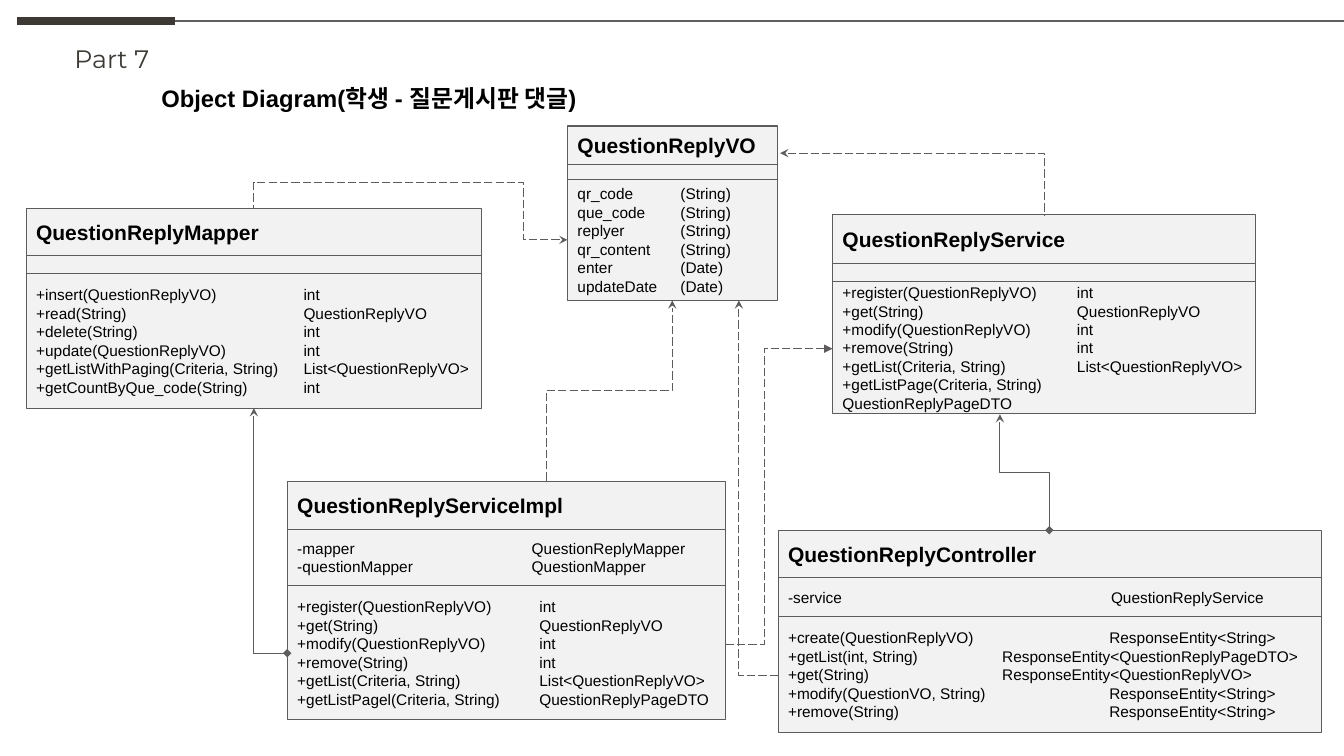
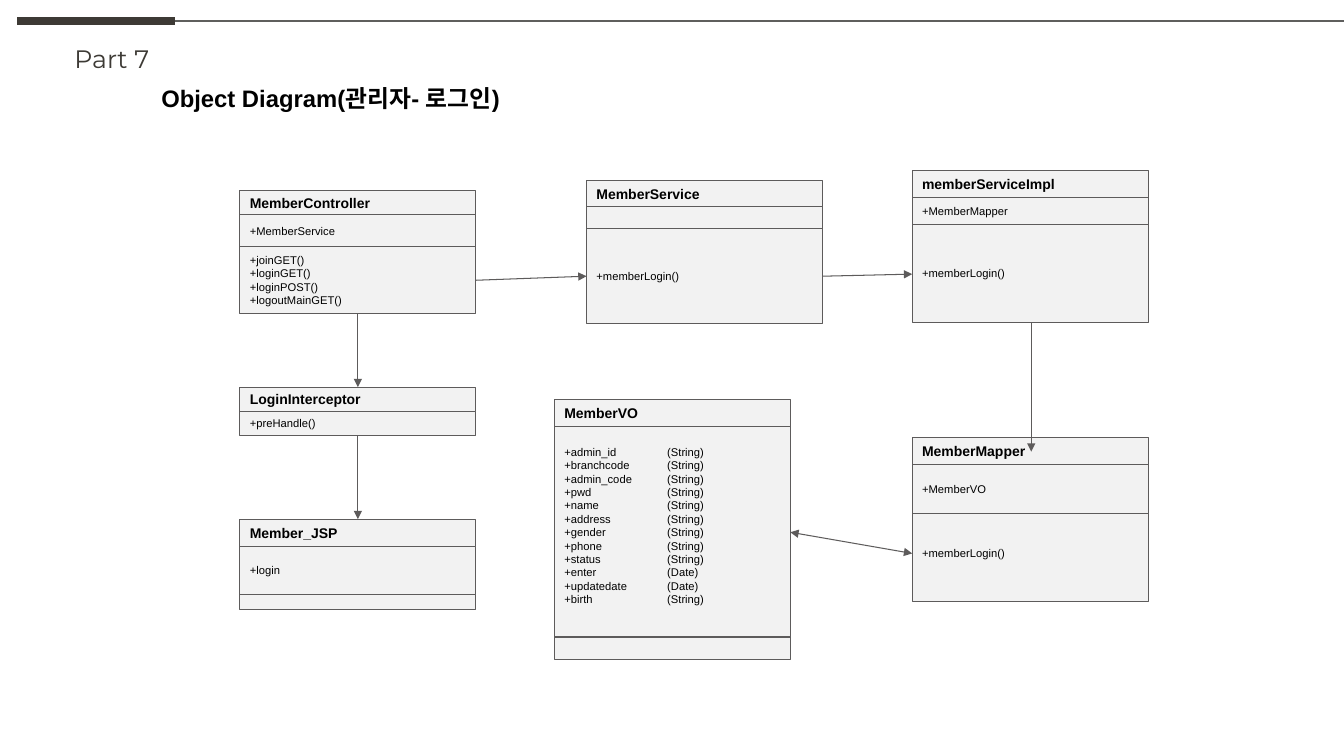
"""Build two object diagram slides: question board replies and administrator login."""
from dataclasses import dataclass
from enum import Enum

from lxml import etree
from pptx import Presentation
from pptx.dml.color import RGBColor
from pptx.enum import dml, shapes, text
from pptx.oxml.ns import qn
from pptx.util import Pt

CHARCOAL = RGBColor(0x3D, 0x3A, 0x35)
RULE_GRAY = RGBColor(0x5F, 0x5F, 0x5D)
OUTLINE = RGBColor(0x5D, 0x5B, 0x5B)
PANEL = RGBColor(0xF2, 0xF2, 0xF2)
BLACK = RGBColor(0, 0, 0)
INSET = 7.2
MEMBER_WIDTH = 168.5
LEFT_COLUMN, RIGHT_COLUMN = 171.4, 651.6
LOGIN_AXIS, MAPPER_AXIS = 255.6, 736.6


class Route(Enum):
    """Shape of a link's path."""
    STRAIGHT = "line"
    CORNER = "bentConnector2"
    STEP = "bentConnector3"
    UPWARD_STEP = "upward"
    DETOUR = "bentConnector4"


@dataclass(frozen=True)
class Section:
    """One compartment of a class, with tab stops for its type column."""
    height: float
    members: tuple[str, ...] = ()
    tabs: tuple[float, ...] = ()
    bottom: float = INSET


@dataclass(frozen=True)
class ClassBox:
    """A class whose sections are stacked below its name."""
    name: str
    left: float
    top: float
    width: float
    name_height: float
    sections: tuple[Section, ...]


@dataclass(frozen=True)
class Link:
    """A relation between two classes."""
    start: tuple[float, float]
    end: tuple[float, float]
    route: Route = Route.STRAIGHT
    head: str = "none"
    tail: str = "none"
    dashed: bool = False
    bends: tuple[float, ...] = ()


@dataclass(frozen=True)
class Diagram:
    """The content and text sizes of one slide."""
    title: str
    name_size: float
    member_size: float
    classes: tuple[ClassBox, ...]
    links: tuple[Link, ...]


def format_text(frame, lines, font_name, size, color, bold=False) -> None:
    """Write left-aligned lines with one font."""
    frame.text = "\n".join(lines)
    for paragraph in frame.paragraphs:
        paragraph.alignment = text.PP_ALIGN.LEFT
        font = paragraph.font
        font.name, font.size, font.bold = font_name, Pt(size), bold
        font.color.rgb = color


def set_tabs(paragraph, stops: tuple[float, ...]) -> None:
    """Give a paragraph left tab stops."""
    properties = paragraph._p.get_or_add_pPr()
    tab_list = etree.Element(qn("a:tabLst"))
    for stop in stops:
        etree.SubElement(tab_list, qn("a:tab"), pos=str(Pt(stop)), algn="l")
    properties.insert(0, tab_list)
    defaults = properties.find(qn("a:defRPr"))
    if defaults is not None:
        defaults.addprevious(tab_list)


def draw_line(slide, start, end, color, weight, kind=shapes.MSO_CONNECTOR.STRAIGHT):
    """Draw a connector without a shadow."""
    connector = slide.shapes.add_connector(kind, *(Pt(v) for v in (*start, *end)))
    connector.line.color.rgb = color
    connector.line.width = Pt(weight)
    etree.SubElement(connector._element.spPr, qn("a:effectLst"))
    return connector


def draw_link(slide, link: Link) -> None:
    """Draw a relation with its route, dash and ends."""
    start, end = link.start, link.end
    upward = link.route is Route.UPWARD_STEP
    if upward:
        middle_x, middle_y = (start[0] + end[0]) / 2, (start[1] + end[1]) / 2
        run, rise = (end[0] - start[0]) / 2, (start[1] - end[1]) / 2
        start = (middle_x - rise, middle_y - run)
        end = (middle_x + rise, middle_y + run)
    straight = link.route is Route.STRAIGHT
    kind = shapes.MSO_CONNECTOR.STRAIGHT if straight else shapes.MSO_CONNECTOR.ELBOW
    connector = draw_line(slide, start, end, OUTLINE, 0.75, kind)
    properties = connector._element.spPr
    if upward:
        properties.find(qn("a:xfrm")).set("rot", "16200000")
    elif not straight:
        geometry = properties.find(qn("a:prstGeom"))
        geometry.set("prst", link.route.value)
        for number, bend in enumerate(link.bends, 1):
            etree.SubElement(geometry.find(qn("a:avLst")), qn("a:gd"),
                             name=f"adj{number}", fmla=f"val {round(bend * 100000)}")
    if link.dashed:
        connector.line.dash_style = dml.MSO_LINE.LONG_DASH
    outline = properties.find(qn("a:ln"))
    for tag, mark in (("a:headEnd", link.head), ("a:tailEnd", link.tail)):
        etree.SubElement(outline, qn(tag), type=mark)


def draw_class(slide, box: ClassBox, diagram: Diagram) -> None:
    """Stack the name and the sections of a class."""
    top = box.top
    for row, section in enumerate((Section(box.name_height, (box.name,)), *box.sections)):
        panel = slide.shapes.add_shape(shapes.MSO_SHAPE.RECTANGLE, Pt(box.left), Pt(top),
                                       Pt(box.width), Pt(section.height))
        panel.shadow.inherit = False
        panel.fill.solid()
        panel.fill.fore_color.rgb = PANEL
        panel.line.color.rgb = OUTLINE
        panel.line.width = Pt(0.75)
        top += section.height
        if not section.members:
            continue
        frame = panel.text_frame
        frame.word_wrap = True
        frame.vertical_anchor = text.MSO_ANCHOR.MIDDLE
        frame.margin_left = frame.margin_right = frame.margin_top = Pt(INSET)
        frame.margin_bottom = Pt(section.bottom)
        size = diagram.member_size if row else diagram.name_size
        format_text(frame, section.members, "Arial", size, BLACK, bold=row == 0)
        if section.tabs:
            for paragraph in frame.paragraphs:
                set_tabs(paragraph, section.tabs)


def draw_header(slide, title: str) -> None:
    """Draw the top rule, the part label and the title."""
    draw_line(slide, (12.2, 15), (125.3, 15), CHARCOAL, 6)
    draw_line(slide, (125.3, 15), (960, 15), RULE_GRAY, 0.75)
    part = slide.shapes.add_textbox(Pt(46.1), Pt(27.4), Pt(71.3), Pt(28.8))
    part.text_frame.word_wrap = False
    format_text(part.text_frame, ("Part 7",), "Montserrat", 18, CHARCOAL)
    heading = slide.shapes.title
    heading.left, heading.top, heading.width, heading.height = Pt(108), Pt(56.2), Pt(348.5), Pt(28)
    frame = heading.text_frame
    format_text(frame, (title,), "Arial", 17, BLACK, bold=True)
    frame.word_wrap = True
    frame.auto_size = text.MSO_AUTO_SIZE.NONE
    frame.vertical_anchor = text.MSO_ANCHOR.TOP


REPLY = Diagram(
    "Object Diagram(학생 - 질문게시판 댓글)", 15, 11,
    (
        ClassBox("QuestionReplyController", 555.8, 378.7, 388.1, 33.8, (
            Section(28.1, ("-service\tQuestionReplyService",), (230.7,)),
            Section(82.8, (
                "+create(QuestionReplyVO)\t\tResponseEntity<String>",
                "+getList(int, String)\tResponseEntity<QuestionReplyPageDTO>",
                "+get(String)\tResponseEntity<QuestionReplyVO>",
                "+modify(QuestionVO, String)\t\tResponseEntity<String>",
                "+remove(String)\t\tResponseEntity<String>"), (153, 229.5)))),
        ClassBox("QuestionReplyServiceImpl", 205.2, 344.2, 313.2, 33.8, (
            Section(40.3, ("-mapper\tQuestionReplyMapper",
                           "-questionMapper\tQuestionMapper"), (167.5,)),
            Section(95.8, (
                "+register(QuestionReplyVO)\tint",
                "+get(String)\tQuestionReplyVO",
                "+modify(QuestionReplyVO)\tint",
                "+remove(String)\tint",
                "+getList(Criteria, String)\tList<QuestionReplyVO>",
                "+getListPagel(Criteria, String)\tQuestionReplyPageDTO"), (173,)))),
        ClassBox("QuestionReplyService", 594.7, 153.4, 302.4, 34.9, (
            Section(13),
            Section(94.3, (
                "+register(QuestionReplyVO)\tint",
                "+get(String)\tQuestionReplyVO",
                "+modify(QuestionReplyVO)\tint",
                "+remove(String)\tint",
                "+getList(Criteria, String)\tList<QuestionReplyVO>",
                "+getListPage(Criteria, String)",
                "QuestionReplyPageDTO"), (167.5,)))),
        ClassBox("QuestionReplyMapper", 18.7, 149, 325.4, 33.5, (
            Section(13),
            Section(96.2, (
                "+insert(QuestionReplyVO)\tint",
                "+read(String)\tQuestionReplyVO",
                "+delete(String)\tint",
                "+update(QuestionReplyVO)\tint",
                "+getListWithPaging(Criteria, String)\tList<QuestionReplyVO>",
                "+getCountByQue_code(String)\tint"), (191,)))),
        ClassBox("QuestionReplyVO", 405.4, 90, 149.8, 27.4, (
            Section(10.8),
            Section(86.4, (
                "qr_code\t(String)", "que_code\t(String)", "replyer\t(String)",
                "qr_content\t(String)", "enter\t(Date)", "updateDate\t(Date)"), (73.5,)))),
    ),
    (
        Link((205.2, 466.6), (181.4, 291.6), Route.CORNER, "diamond", "stealth"),
        Link((405.4, 171.4), (181.4, 149), Route.DETOUR, "stealth",
             dashed=True, bends=(0.14, 1.84)),
        Link((390.2, 343.4), (480.2, 214.6), Route.UPWARD_STEP, tail="stealth", dashed=True),
        Link((555.8, 482.4), (527.8, 214.6), Route.CORNER, tail="stealth", dashed=True),
        Link((518.4, 460.1), (594.7, 249.1), Route.STEP, tail="triangle",
             dashed=True, bends=(0.36,)),
        Link((749.5, 378.7), (714.2, 295.9), Route.UPWARD_STEP, "diamond", "stealth"),
        Link((557.3, 109.4), (745.9, 153.4), Route.CORNER, "stealth", dashed=True),
    ))

LOGIN = Diagram(
    "Object Diagram(관리자- 로그인)", 10, 8,
    (
        ClassBox("MemberController", LEFT_COLUMN, 136.1, MEMBER_WIDTH, 17.3, (
            Section(23, ("+MemberService",)),
            Section(47.5, ("+joinGET()", "+loginGET()", "+loginPOST()", "+logoutMainGET()")))),
        ClassBox("LoginInterceptor", LEFT_COLUMN, 276.5, MEMBER_WIDTH, 17.3, (
            Section(17.3, ("+preHandle()",)),)),
        ClassBox("Member_JSP", LEFT_COLUMN, 370.8, MEMBER_WIDTH, 19.4, (
            Section(34.6, ("+login",)), Section(10.8))),
        ClassBox("MemberService", 419, 128.9, MEMBER_WIDTH, 18.7, (
            Section(15.8), Section(67.7, ("+memberLogin()",)))),
        ClassBox("memberServiceImpl", RIGHT_COLUMN, 121.7, MEMBER_WIDTH, 19.4, (
            Section(19.4, ("+MemberMapper",)), Section(69.8, ("+memberLogin()",)))),
        ClassBox("MemberMapper", RIGHT_COLUMN, 312.5, MEMBER_WIDTH, 19.4, (
            Section(34.6, ("+MemberVO",)),
            Section(63.4, ("+memberLogin()",), bottom=13.7))),
        ClassBox("MemberVO", 396, 285.1, MEMBER_WIDTH, 19.4, (
            Section(150.5, (
                "+admin_id\t(String)", "+branchcode\t(String)", "+admin_code\t(String)",
                "+pwd\t(String)", "+name\t(String)", "+address\t(String)",
                "+gender\t(String)", "+phone\t(String)", "+status\t(String)",
                "+enter\t(Date)", "+updatedate\t(Date)", "+birth\t(String)"),
                (73.5,), bottom=16),
            Section(15.8))),
    ),
    (
        Link((339.9, 200.2), (419, 197.3), tail="triangle"),
        Link((587.5, 197.3), (RIGHT_COLUMN, 195.8), tail="triangle"),
        Link((LOGIN_AXIS, 223.9), (LOGIN_AXIS, 276.5), tail="triangle"),
        Link((LOGIN_AXIS, 311.1), (LOGIN_AXIS, 370.8), tail="triangle"),
        Link((MAPPER_AXIS, 230.4), (MAPPER_AXIS, 322.6), tail="triangle"),
        Link((RIGHT_COLUMN, 395.3), (564.5, 380.2), head="triangle", tail="triangle"),
    ))


def main() -> None:
    """Build and save the presentation."""
    deck = Presentation()
    deck.slide_width, deck.slide_height = Pt(960), Pt(540)
    for diagram in (REPLY, LOGIN):
        slide = deck.slides.add_slide(deck.slide_layouts[5])
        draw_header(slide, diagram.title)
        for box in diagram.classes:
            draw_class(slide, box, diagram)
        for link in diagram.links:
            draw_link(slide, link)
    deck.save("out.pptx")


main()
